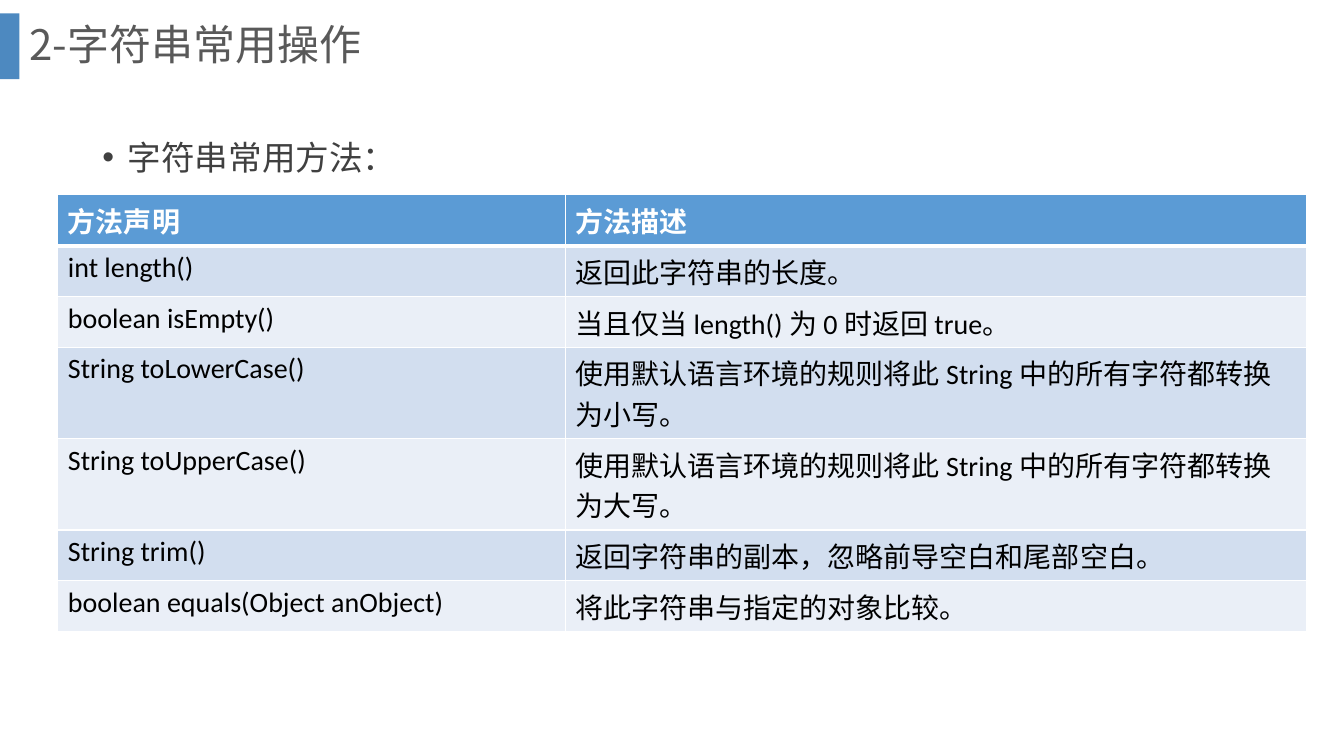
from lxml import etree
from pptx import Presentation
from pptx.dml import color
from pptx.enum import shapes, text
from pptx.oxml import ns
from pptx.util import Pt

TITLE = "2-字符串常用操作"
LEAD = "字符串常用方法："
METHODS = [
    ("方法声明", "方法描述"),
    ("int length() ", "返回此字符串的长度。"),
    ("boolean isEmpty() ", "当且仅当 length() 为 0 时返回 true。 "),
    ("String toLowerCase() ", "使用默认语言环境的规则将此 String 中的所有字符都转换为小写。 "),
    ("String toUpperCase() ", "使用默认语言环境的规则将此 String 中的所有字符都转换为大写。"),
    ("String trim() ", "返回字符串的副本，忽略前导空白和尾部空白。 "),
    ("boolean equals(Object anObject) ", "将此字符串与指定的对象比较。"),
]
HAN_FONT = "Noto Sans CJK SC"
HEADER_FILL = "5B9BD5"
BAND_FILLS = ["D2DEEF", "EAEFF7"]
COLUMN_WIDTHS = [362.4, 529.6]
ROW_HEIGHT = 29.2


def paint(fill, value):
    fill.solid()
    fill.fore_color.rgb = color.RGBColor.from_string(value)


def add_child(parent, tag, **attributes):
    return etree.SubElement(parent, ns.qn(tag), **attributes)


def write(frame, words, size, ink, font=HAN_FONT, bold=False, spacing=1.0, before=0):
    para = frame.paragraphs[0]
    para.alignment = text.PP_ALIGN.LEFT
    para.line_spacing = spacing
    para.space_before = Pt(before)
    span = para.add_run()
    span.text = words
    span.font.size = Pt(size)
    span.font.bold = bold
    span.font.name = font
    paint(span.font.fill, ink)
    add_child(span.font._element, "a:ea", typeface=HAN_FONT)
    return para


def place(box, left, top, width, height, anchor):
    box.left, box.top, box.width, box.height = map(Pt, (left, top, width, height))
    box.text_frame.auto_size = text.MSO_AUTO_SIZE.NONE
    box.text_frame.word_wrap = True
    box.text_frame.vertical_anchor = anchor


def border(cell, widths):
    properties = cell._tc.get_or_add_tcPr()
    for index, (side, width) in enumerate(widths.items()):
        line = etree.Element(ns.qn("a:ln" + side), w=str(Pt(width)))
        solid = add_child(line, "a:solidFill")
        add_child(solid, "a:srgbClr", val="FFFFFF")
        properties.insert(index, line)


deck = Presentation()
deck.slide_width, deck.slide_height = Pt(960), Pt(540)
page = deck.slides.add_slide(deck.slide_layouts[1])
paint(page.background.fill, "FFFFFF")

marker = page.shapes.add_shape(
    shapes.MSO_SHAPE.RECTANGLE, Pt(0), Pt(9.5), Pt(13.8), Pt(47)
)
marker.shadow.inherit = False
marker.line.fill.background()
paint(marker.fill, "2E75B6")
marker_color = marker._element.spPr.find(".//" + ns.qn("a:srgbClr"))
add_child(marker_color, "a:alpha", val="85000")

title, body = page.placeholders
place(title, 13.8, 0, 911.5, 67, text.MSO_ANCHOR.MIDDLE)
write(title.text_frame, TITLE, 30, "595959", spacing=0.9)

place(body, 66, 80, 828, 415.5, text.MSO_ANCHOR.TOP)
lead = write(body.text_frame, LEAD, 24, "404040", spacing=1.5, before=10)
lead_properties = lead._p.get_or_add_pPr()
lead_properties.set("marL", str(Pt(18)))
lead_properties.set("indent", str(Pt(-18)))
add_child(lead_properties, "a:buFont", typeface="Arial")
add_child(lead_properties, "a:buChar", char="•")

table = page.shapes.add_table(
    len(METHODS), len(COLUMN_WIDTHS), Pt(41.3), Pt(139.2),
    Pt(sum(COLUMN_WIDTHS)), Pt(ROW_HEIGHT * len(METHODS)),
).table
for column, width in zip(table.columns, COLUMN_WIDTHS):
    column.width = Pt(width)
for row_index, entries in enumerate(METHODS):
    header = row_index == 0
    table.rows[row_index].height = Pt(ROW_HEIGHT)
    for column_index, words in enumerate(entries):
        cell = table.cell(row_index, column_index)
        paint(cell.fill, HEADER_FILL if header else BAND_FILLS[(row_index - 1) % 2])
        border(cell, {"L": 1, "R": 1, "T": 3 if row_index == 1 else 1, "B": 3 if header else 1})
        ink = "FFFFFF" if header else "000000"
        write(cell.text_frame, words, 20, ink, font="Calibri", bold=header)

deck.save("out.pptx")
